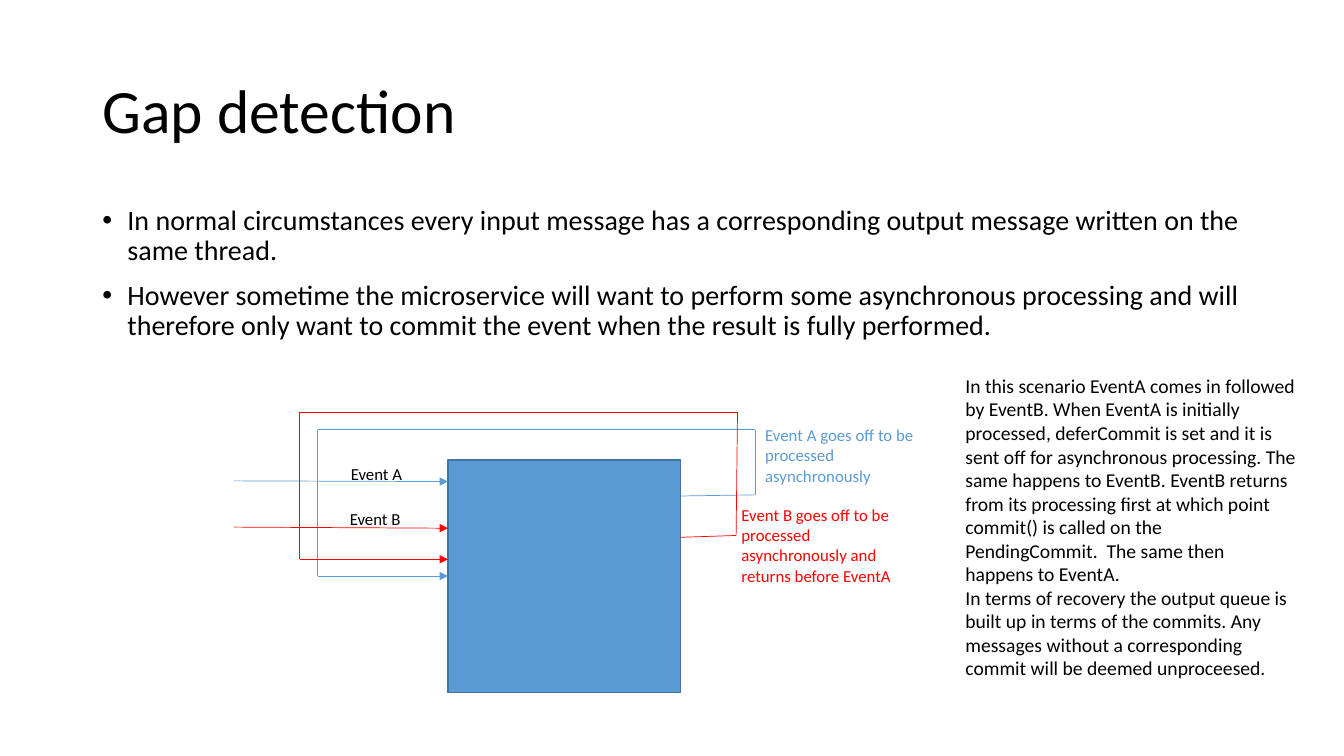
from itertools import pairwise

from lxml.etree import SubElement
from pptx import Presentation
from pptx.dml.color import RGBColor
from pptx.enum.shapes import MSO_CONNECTOR, MSO_SHAPE
from pptx.enum.text import MSO_ANCHOR, MSO_AUTO_SIZE, PP_ALIGN
from pptx.oxml.ns import qn
from pptx.util import Pt

BLUE, RED, BLACK, EDGE = "5B9BD5", "FF0000", "000000", "43739E"
BOX_LEFT, BOX_TOP, BOX_SIDE = 320, 328.5, 166
BOX_RIGHT = BOX_LEFT + BOX_SIDE


def paint(target, color):
    target.rgb = RGBColor.from_string(color)


def write(frame, text, size=12, color=BLACK, spacing=1.0, gap=0, bullet=False):
    frame.word_wrap = True
    for index, line in enumerate(text.split("\n")):
        para = frame.add_paragraph() if index else frame.paragraphs[0]
        para.alignment = PP_ALIGN.LEFT
        para.line_spacing = spacing
        para.space_before = Pt(gap if index else 0)
        if bullet:
            properties = para._p.get_or_add_pPr()
            properties.set("marL", str(Pt(18)))
            properties.set("indent", str(-Pt(18)))
            SubElement(properties, qn("a:buFont"), typeface="Arial")
            SubElement(properties, qn("a:buChar"), char="•")
        span = para.add_run()
        span.text = line
        span.font.name = "Calibri"
        span.font.size = Pt(size)
        paint(span.font.color, color)


class Sketch:
    """Draws titles, text, boxes and routes on one page."""

    def __init__(self, page, line_width=0.5):
        self.page = page
        self.line_width = line_width

    def title(self, text, left, top, width, height):
        shape = self.page.shapes.title
        shape.left, shape.top = Pt(left), Pt(top)
        shape.width, shape.height = Pt(width), Pt(height)
        shape.text_frame.auto_size = MSO_AUTO_SIZE.NONE
        shape.text_frame.vertical_anchor = MSO_ANCHOR.MIDDLE
        write(shape.text_frame, text, size=44, spacing=0.9)

    def text(self, text, left, top, width, height, **style):
        box = self.page.shapes.add_textbox(Pt(left), Pt(top), Pt(width), Pt(height))
        write(box.text_frame, text, **style)

    def square(self, left, top, side, fill, edge):
        shape = self.page.shapes.add_shape(
            MSO_SHAPE.RECTANGLE, Pt(left), Pt(top), Pt(side), Pt(side))
        shape.shadow.inherit = False
        shape.fill.solid()
        paint(shape.fill.fore_color, fill)
        paint(shape.line.color, edge)
        shape.line.width = Pt(1)

    def line(self, start, end, color, arrow=False):
        line = self.page.shapes.add_connector(
            MSO_CONNECTOR.STRAIGHT, *map(Pt, start + end))
        paint(line.line.color, color)
        line.line.width = Pt(self.line_width)
        if arrow:
            SubElement(line.line._get_or_add_ln(), qn("a:tailEnd"), type="triangle")
        SubElement(line._element.spPr, qn("a:effectLst"))

    def route(self, points, color):
        for start, end in pairwise(points):
            self.line(start, end, color, arrow=end == points[-1])


def main():
    deck = Presentation()
    deck.slide_width, deck.slide_height = Pt(960), Pt(540)
    sketch = Sketch(deck.slides.add_slide(deck.slide_layouts[5]))

    sketch.title("Gap detection", 66, 28.8, 828, 104.4)
    sketch.text(
        "In normal circumstances every input message has a corresponding output "
        "message written on the same thread.\n"
        "However sometime the microservice will want to perform some asynchronous "
        "processing and will therefore only want to commit the event when the "
        "result is fully performed.",
        66, 144, 828, 111, size=20, spacing=0.9, gap=10, bullet=True)
    sketch.square(BOX_LEFT, BOX_TOP, BOX_SIDE, BLUE, EDGE)

    sketch.route([(167, 343.5), (BOX_LEFT, 344)], BLUE)
    sketch.route([(BOX_RIGHT, 354.3), (539.5, 353.5), (539.5, 307),
                  (227, 307), (227, 411.5), (BOX_LEFT, 411.5)], BLUE)
    sketch.route([(167, 376.5), (BOX_LEFT, 377.3)], RED)
    sketch.route([(BOX_RIGHT, 383.8), (525.8, 382.5), (526.8, 294.5),
                  (214, 294.5), (214, 399.5), (BOX_LEFT, 399.5)], RED)

    sketch.text("Event A", 243.5, 327.6, 64, 22)
    sketch.text("Event B", 242.8, 360, 64, 22)
    sketch.text("Event A goes off to be processed asynchronously",
                539.5, 300, 131, 51, color=BLUE)
    sketch.text("Event B goes off to be processed asynchronously and returns "
                "before EventA", 522.5, 357, 131, 65.5, color=RED)
    sketch.text(
        "In this scenario EventA comes in followed by EventB. When EventA is "
        "initially processed, deferCommit is set and it is sent off for "
        "asynchronous processing. The same happens to EventB. EventB returns from "
        "its processing first at which point commit() is called on the "
        "PendingCommit.  The same then happens to EventA.\n"
        "In terms of recovery the output queue is built up in terms of the "
        "commits. Any messages without a corresponding commit will be deemed "
        "unproceesed.", 682.5, 263.5, 251.5, 227.5, size=14)

    deck.save("out.pptx")


if __name__ == "__main__":
    main()
